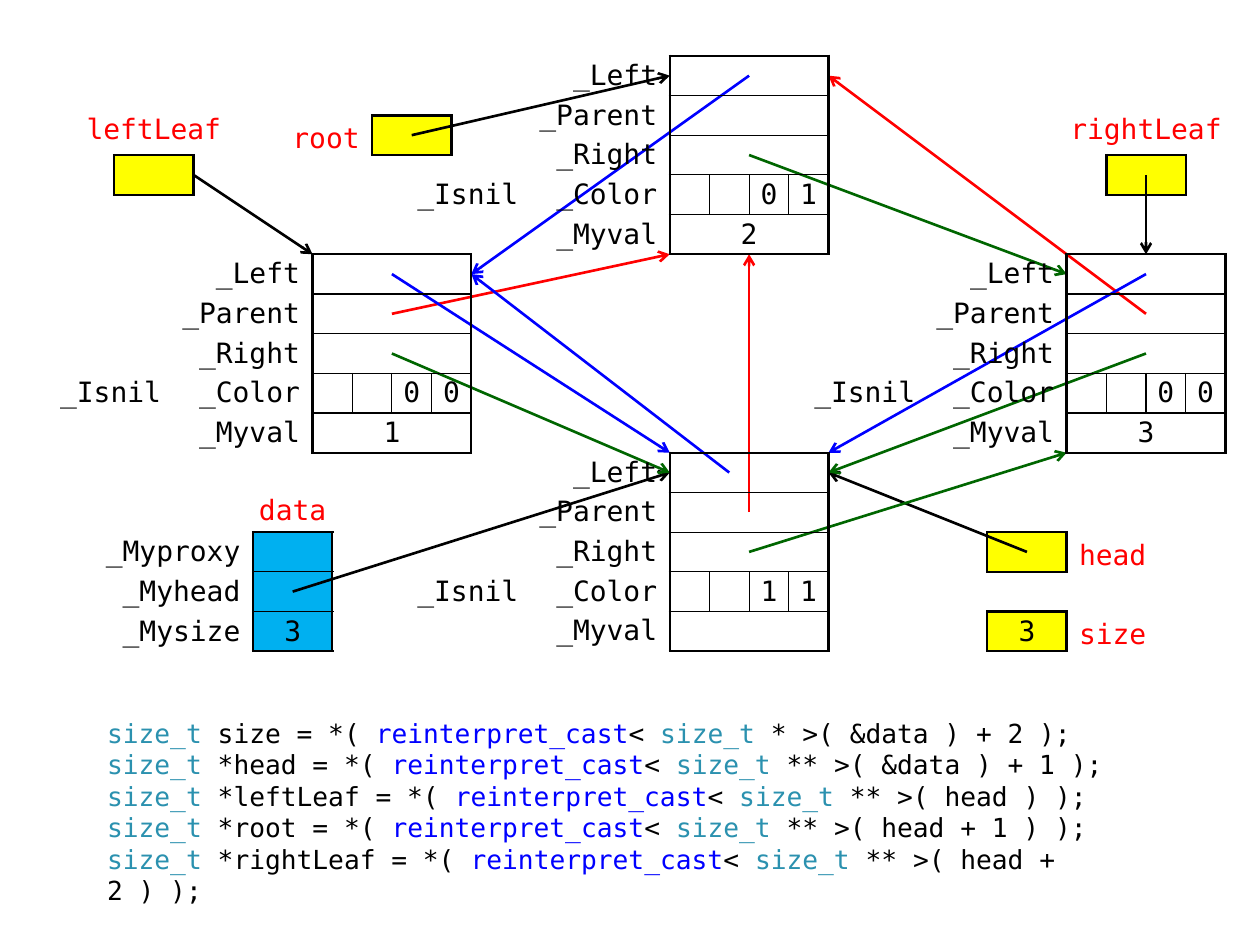
from pptx import Presentation
from pptx.dml.color import RGBColor
from pptx.enum import shapes, text
from pptx.oxml.ns import qn
from pptx.util import Pt
from lxml import etree

FONT = "DejaVu Sans Mono"
UNIT, LEFT, TOP = 22.68, 19.84, 31.9
THICK, THIN = 1.5, 0.75
BLACK = RGBColor(0, 0, 0)
RED = RGBColor(255, 0, 0)
BLUE = RGBColor(0, 0, 255)
GREEN = RGBColor(0, 0x66, 0)
TEAL = RGBColor(0x2B, 0x91, 0xAF)
CYAN = RGBColor(0, 0xB0, 0xF0)
YELLOW = RGBColor(255, 255, 0)
NO_STYLE = "{2D5ABB26-0587-4C30-8999-92F81FD0307C}"
MID = text.PP_ALIGN.CENTER
END = text.PP_ALIGN.RIGHT
START = text.PP_ALIGN.LEFT

NODES = [(0, 5, "00", "1"), (9, 0, "01", "2"), (9, 10, "11", ""), (19, 5, "00", "3")]
BOXES = [(2, 2.5, ""), (8.5, 1.5, ""), (27, 2.5, ""), (24, 12, ""), (24, 14, "3")]
OVER = (0, 0, 0, 5.76)
BESIDE = (7.2, 2.88, 7.2, 0)
LABELS = [
    ("leftLeaf", 0.5, 1, 5, 1.5, MID, OVER),
    ("rightLeaf", 25.5, 1, 5, 1.5, MID, OVER),
    ("data", 5.5, 11, 2, 1, MID, (0, 0, 0, 0)),
    ("root", 6, 1.5, 2.5, 1, END, BESIDE),
    ("head", 26, 12, 2.5, 1, START, BESIDE),
    ("size", 26, 14, 2.5, 1, START, BESIDE),
]
ARROWS = {
    BLACK: [(6.5, 13.5, 16, 10.5), (28, 3, 28, 5), (4, 3, 7, 5),
            (25, 12.5, 20, 10.5), (9.5, 2, 16, 0.5)],
    GREEN: [(18, 2.5, 26, 5.5), (9, 7.5, 16, 10.5), (28, 7.5, 20, 10.5),
            (18, 12.5, 26, 10)],
    RED: [(9, 6.5, 16, 5), (18, 11.5, 18, 5), (28, 6.5, 20, 0.5)],
    BLUE: [(17.5, 10.5, 11, 5.5), (9, 5.5, 16, 10), (28, 5.5, 20, 10),
           (18, 0.5, 11, 5.5)],
}
CODE = [
    (" size = *( ", " * >( &data ) + 2 );"),
    (" *head = *( ", " ** >( &data ) + 1 );"),
    (" *leftLeaf = *( ", " ** >( head ) );"),
    (" *root = *( ", " ** >( head + 1 ) );"),
    (" *rightLeaf = *( ", " ** >( head + 2 ) );"),
]


def place(x, y):
    """Turn grid units into a position on the slide."""
    return Pt(round(LEFT + UNIT * x, 2)), Pt(round(TOP + UNIT * y, 2))


def span(n):
    """Turn a count of grid units into a length."""
    return Pt(round(UNIT * n, 2))


def style(para, color, size=16, align=None):
    """Set the font and alignment of a paragraph."""
    para.font.name, para.font.size = FONT, Pt(size)
    para.font.color.rgb = color
    para.alignment = align


def add_grid(slide, x, y, cols, rows):
    """Add a plain table with unit-high rows."""
    frame = slide.shapes.add_table(rows, len(cols), *place(x, y), span(sum(cols)), span(rows))
    table = frame.table
    table.first_row = table.horz_banding = False
    table._tbl.tblPr.find(qn("a:tableStyleId")).text = NO_STYLE
    for col, wide in zip(table.columns, cols):
        col.width = span(wide)
    for row in table.rows:
        row.height = span(1)
    return table


def fill_cell(cell, words="", align=MID, fill=None, edges=()):
    """Set the text, fill and borders (left, right, top, bottom) of a cell."""
    cell.text = words
    style(cell.text_frame.paragraphs[0], BLACK, align=align)
    cell.vertical_anchor = text.MSO_ANCHOR.MIDDLE
    cell.margin_top = cell.margin_bottom = 0
    cell.margin_left = cell.margin_right = Pt(7.2 if align == END else 5.76)
    prop = cell._tc.get_or_add_tcPr()
    for side, width in zip("LRTB", edges):
        if width:
            line = etree.SubElement(prop, qn("a:ln" + side), w=str(Pt(width)))
            paint = etree.SubElement(line, qn("a:solidFill"))
            etree.SubElement(paint, qn("a:srgbClr"), val=str(BLACK))
    if fill is None:
        cell.fill.background()
    else:
        cell.fill.solid()
        cell.fill.fore_color.rgb = fill


def rim(row, rows):
    """Give the top and bottom border widths of a row in a block."""
    return THICK if row == 0 else THIN, THICK if row == rows - 1 else THIN


def add_node(slide, x, y, flags, value):
    """Add a tree node with its member names."""
    table = add_grid(slide, x, y, [3.5, 3.5, 1, 1, 1, 1], 5)
    for r, name in enumerate(["_Left", "_Parent", "_Right", "_Color", "_Myval"]):
        ends = rim(r, 5)
        if name == "_Color":
            fill_cell(table.cell(r, 0), "_Isnil", END)
            fill_cell(table.cell(r, 1), name, END, edges=(0, THICK))
            for c, flag in enumerate(["", "", *flags]):
                sides = THICK if c == 0 else THIN, THICK if c == 3 else THIN
                fill_cell(table.cell(r, c + 2), flag, edges=sides + ends)
            continue
        table.cell(r, 0).merge(table.cell(r, 1))
        table.cell(r, 2).merge(table.cell(r, 5))
        fill_cell(table.cell(r, 0), name, END, edges=(0, THICK))
        fill_cell(table.cell(r, 2), value if name == "_Myval" else "",
                  edges=(THICK, THICK) + ends)


def add_data(slide):
    """Add the container object with its three members."""
    table = add_grid(slide, 1, 12, [4.5, 2], 3)
    for r, (name, value) in enumerate([("_Myproxy", ""), ("_Myhead", ""), ("_Mysize", "3")]):
        fill_cell(table.cell(r, 0), name, END, edges=(0, THICK))
        fill_cell(table.cell(r, 1), value, fill=CYAN, edges=(THICK, THICK) + rim(r, 3))


def add_box(slide, x, y, value):
    """Add a one-cell variable."""
    cell = add_grid(slide, x, y, [2], 1).cell(0, 0)
    fill_cell(cell, value, fill=YELLOW, edges=[THICK] * 4)


def add_label(slide, words, x, y, wide, high, align, pads):
    """Add the red name of a variable."""
    frame = slide.shapes.add_textbox(*place(x, y), span(wide), span(high)).text_frame
    frame.word_wrap = True
    frame.margin_left, frame.margin_top, frame.margin_right, frame.margin_bottom = map(Pt, pads)
    frame.vertical_anchor = text.MSO_ANCHOR.BOTTOM if pads == OVER else text.MSO_ANCHOR.TOP
    frame.text = words
    style(frame.paragraphs[0], RED, align=align)


def add_arrow(slide, color, x1, y1, x2, y2):
    """Add a pointer arrow between two grid positions."""
    line = slide.shapes.add_connector(
        shapes.MSO_CONNECTOR.STRAIGHT, *place(x1, y1), *place(x2, y2))
    line.line.color.rgb, line.line.width = color, Pt(THICK)
    etree.SubElement(line.line._get_or_add_ln(), qn("a:tailEnd"), type="arrow")
    etree.SubElement(line._element.spPr, qn("a:effectLst"))


def add_code(slide):
    """Write the code lines in the body placeholder."""
    body = slide.placeholders[1]
    body.left, body.top, body.width, body.height = map(Pt, (54, 406, 612, 102))
    frame = body.text_frame
    frame.auto_size = text.MSO_AUTO_SIZE.NONE
    for i, (name, tail) in enumerate(CODE):
        para = frame.paragraphs[0] if i == 0 else frame.add_paragraph()
        para.line_spacing, para.space_before = Pt(18), Pt(0)
        prop = para._p.get_or_add_pPr()
        prop.set("marL", "0")
        prop.set("indent", "0")
        etree.SubElement(prop, qn("a:buNone"))
        style(para, BLACK, 15)
        for words, color in [("size_t", TEAL), (name, BLACK), ("reinterpret_cast", BLUE),
                             ("< ", BLACK), ("size_t", TEAL), (tail, BLACK)]:
            run = para.add_run()
            run.text, run.font.color.rgb = words, color


def main():
    """Build the slide and save it."""
    deck = Presentation()
    deck.slide_width, deck.slide_height = Pt(720), Pt(540)
    slide = deck.slides.add_slide(deck.slide_layouts[1])
    title = slide.shapes.title._element
    title.getparent().remove(title)
    add_code(slide)
    add_data(slide)
    for box in BOXES:
        add_box(slide, *box)
    for label in LABELS:
        add_label(slide, *label)
    for color, paths in ARROWS.items():
        for ends in paths:
            add_arrow(slide, color, *ends)
    for node in NODES:
        add_node(slide, *node)
    deck.save("out.pptx")


main()
